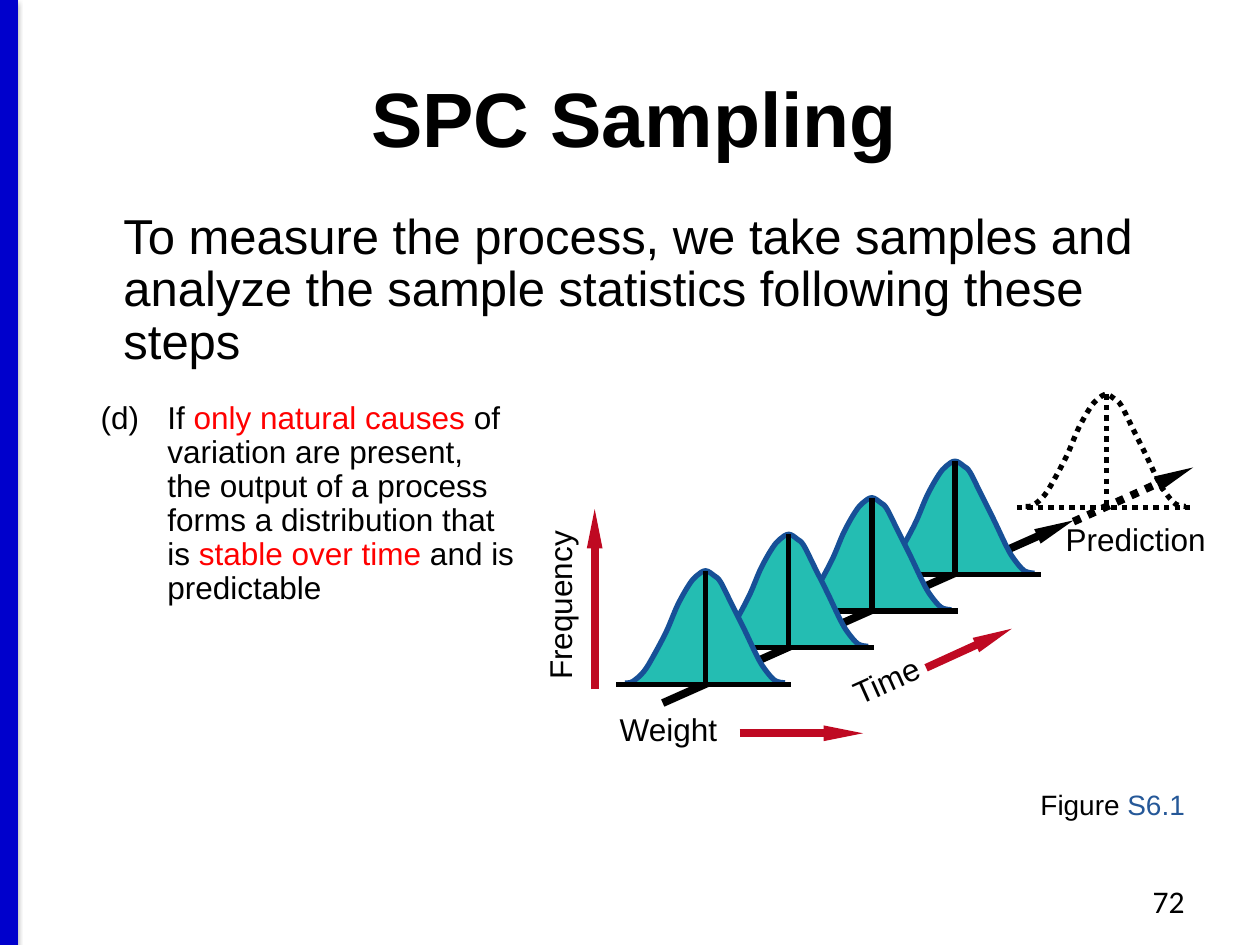
import pptx
import pptx.dml.color
import pptx.enum.dml
import pptx.enum.shapes
import pptx.enum.text
import pptx.oxml
import pptx.oxml.ns
import pptx.util

Inches = pptx.util.Inches
Align = pptx.enum.text.PP_ALIGN
Anchor = pptx.enum.text.MSO_ANCHOR

BLACK, RED, CRIMSON, TEAL, NAVY = "000000", "FF0000", "BF0922", "24BDB2", "175097"

TITLE = [("SPC Sampling", BLACK)]
INTRO = [("To measure the process, we take samples and analyze the sample statistics "
          "following these steps", BLACK)]
STEP = [
    ("(d)\tIf ", BLACK),
    ("only natural causes ", RED),
    ("of variation are present, the output of a process forms a distribution that is ", BLACK),
    ("stable over time ", RED),
    ("and is predictable", BLACK),
]
FIGURE = [("Figure ", BLACK), ("S6.1", "255898")]
LABELS = [
    ("Weight", (4.82, 5.62, 0.98, 0.38), 0),
    ("Time", (6.67, 5.23, 0.75, 0.38), 335.8),
    ("Frequency", (3.77, 4.61, 1.39, 0.38), 270),
    ("Prediction", (8.36, 4.11, 1.32, 0.38), 0),
]
AXIS_ARROWS = [
    ((5.87, 5.82), (6.85, 5.82)),
    ((4.72, 5.47), (4.72, 4.04)),
    ((7.35, 5.3), (8.03, 4.99)),
]
BELL = [
    (0, 0.89), (0.06, 0.88), (0.15, 0.8), (0.23, 0.67), (0.33, 0.48), (0.42, 0.27),
    (0.51, 0.11), (0.57, 0.04), (0.64, 0), (0.71, 0.04), (0.76, 0.09), (0.85, 0.27),
    (0.95, 0.47), (1.05, 0.68), (1.11, 0.78), (1.19, 0.87), (1.27, 0.89),
]
FIRST_BELL, BELL_STEP, BELL_COUNT = (4.96, 4.53), (0.66, -0.29), 4
PREDICTED_BELL = (8.14, 3.13)
NAMESPACE = pptx.oxml.ns.nsdecls("a")
BAR_SHADOW = ('<a:outerShdw blurRad="39370" dist="20320" dir="5400000" rotWithShape="0">'
              '<a:srgbClr val="000000"><a:alpha val="38000"/></a:srgbClr></a:outerShdw>')


def rgb(value):
    """Return a colour from a hex string."""
    return pptx.dml.color.RGBColor.from_string(value)


def place(shape, box):
    """Move and size a shape in inches."""
    shape.left, shape.top, shape.width, shape.height = map(Inches, box)


def write(shape, runs, size, font="Arial", bold=False, align=Align.LEFT,
          spacing=0.9, wrap=True, anchor=Anchor.TOP):
    """Fill a shape with one formatted paragraph."""
    frame = shape.text_frame
    frame.word_wrap = wrap
    frame.auto_size = pptx.enum.text.MSO_AUTO_SIZE.NONE
    frame.vertical_anchor = anchor
    paragraph = frame.paragraphs[0]
    paragraph.alignment = align
    paragraph.line_spacing = spacing
    paragraph.space_before = pptx.util.Pt(0)
    for text, color in runs:
        run = paragraph.add_run()
        run.text = text
        run.font.name = font
        run.font.size = pptx.util.Pt(size)
        run.font.bold = bold
        run.font.color.rgb = rgb(color)
    return paragraph


def set_indent(paragraph, margin, first):
    """Set the left margin and first-line indent, without a bullet."""
    properties = paragraph._p.get_or_add_pPr()
    properties.set("marL", str(Inches(margin)))
    properties.set("indent", str(Inches(first)))
    properties.append(pptx.oxml.parse_xml(f"<a:buNone {NAMESPACE}/>"))


def add_text(slide, box, runs, size, rotation=0, **options):
    """Add a text box with one paragraph."""
    shape = slide.shapes.add_textbox(*map(Inches, box))
    shape.rotation = rotation
    return write(shape, runs, size, **options)


def style_line(line, color, width, dotted=False):
    """Set colour, width and dash of an outline."""
    line.color.rgb = rgb(color)
    line.width = pptx.util.Pt(width)
    if dotted:
        line.dash_style = pptx.enum.dml.MSO_LINE.ROUND_DOT


def add_line(slide, start, end, color, width, dotted=False, arrow=False, effect=""):
    """Add a straight line, optionally dotted or with an arrowhead."""
    connector = slide.shapes.add_connector(
        pptx.enum.shapes.MSO_CONNECTOR.STRAIGHT, *map(Inches, start + end))
    style_line(connector.line, color, width, dotted)
    if arrow:
        connector.line._get_or_add_ln().append(pptx.oxml.parse_xml(
            f'<a:tailEnd {NAMESPACE} type="triangle" w="sm" len="lg"/>'))
    connector._element.spPr.append(pptx.oxml.parse_xml(
        f"<a:effectLst {NAMESPACE}>{effect}</a:effectLst>"))


def round_segments(shape, points):
    """Turn the straight segments of a freeform into Catmull-Rom curves."""
    padded = [points[0]] + points + [points[-1]]
    segments = list(shape._element.iter(pptx.oxml.ns.qn("a:lnTo")))
    for segment, a, b, c, d in zip(segments, padded, padded[1:], padded[2:], padded[3:]):
        controls = (
            [q + (r - p) / 6 for p, q, r in zip(a, b, c)],
            [r - (s - q) / 6 for q, r, s in zip(b, c, d)],
            c,
        )
        marks = "".join(f'<a:pt x="{Inches(x)}" y="{Inches(y)}"/>' for x, y in controls)
        segment.getparent().replace(segment, pptx.oxml.parse_xml(
            f"<a:cubicBezTo {NAMESPACE}>{marks}</a:cubicBezTo>"))


def add_bell(slide, left, top, predicted=False):
    """Add a bell curve with its centre line and base line."""
    points = [(Inches(left + x), Inches(top + y)) for x, y in BELL]
    builder = slide.shapes.build_freeform(*points[0])
    builder.add_line_segments(points[1:], close=False)
    bell = builder.convert_to_shape()
    round_segments(bell, BELL)
    bell.shadow.inherit = False
    if predicted:
        bell.fill.background()
    else:
        bell.fill.solid()
        bell.fill.fore_color.rgb = rgb(TEAL)
    style_line(bell.line, BLACK if predicted else NAVY, 3, predicted)
    center, base = left + 0.64, top + 0.89
    add_line(slide, (center, top), (center, base), BLACK, 3, predicted)
    add_line(slide, (left - 0.07, base + 0.01), (left + 1.32, base + 0.01), BLACK, 3, predicted)


def main():
    """Build the sampling slide."""
    presentation = pptx.Presentation()
    presentation.slide_width, presentation.slide_height = Inches(10), Inches(7.5)
    slide = presentation.slides.add_slide(presentation.slide_layouts[1])
    title, body = slide.placeholders

    add_line(slide, (0.07, 0), (0.07, 7.5), "0000CC", 10, effect=BAR_SHADOW)
    place(title, (0.07, 0.3, 9.93, 1.25))
    write(title, TITLE, 44, bold=True, align=Align.CENTER, spacing=1, anchor=Anchor.MIDDLE)
    place(body, (0.88, 1.63, 8.24, 1.38))
    set_indent(write(body, INTRO, 28), 0, 0)
    set_indent(add_text(slide, (0.7, 3.14, 3.48, 1.74), STEP, 18), 0.53, -0.53)

    add_line(slide, (5.26, 5.58), (8.52, 4.13), BLACK, 4.5, arrow=True)
    for index in reversed(range(BELL_COUNT)):
        add_bell(slide, *(start + index * step for start, step in zip(FIRST_BELL, BELL_STEP)))
    add_line(slide, (8.52, 4.14), (9.47, 3.71), BLACK, 4.5, dotted=True, arrow=True)
    add_bell(slide, *PREDICTED_BELL, predicted=True)

    for start, end in AXIS_ARROWS:
        add_line(slide, start, end, CRIMSON, 4.5, arrow=True)
    for text, box, rotation in LABELS:
        add_text(slide, box, [(text, BLACK)], 18, rotation, wrap=False)
    add_text(slide, (8.16, 6.23, 1.36, 0.35), FIGURE, 16, wrap=False)
    add_text(slide, (7.17, 6.95, 2.33, 0.4), [("72", BLACK)], 18, font="Calibri",
             align=Align.RIGHT, spacing=1)
    presentation.save("out.pptx")


if __name__ == "__main__":
    main()
